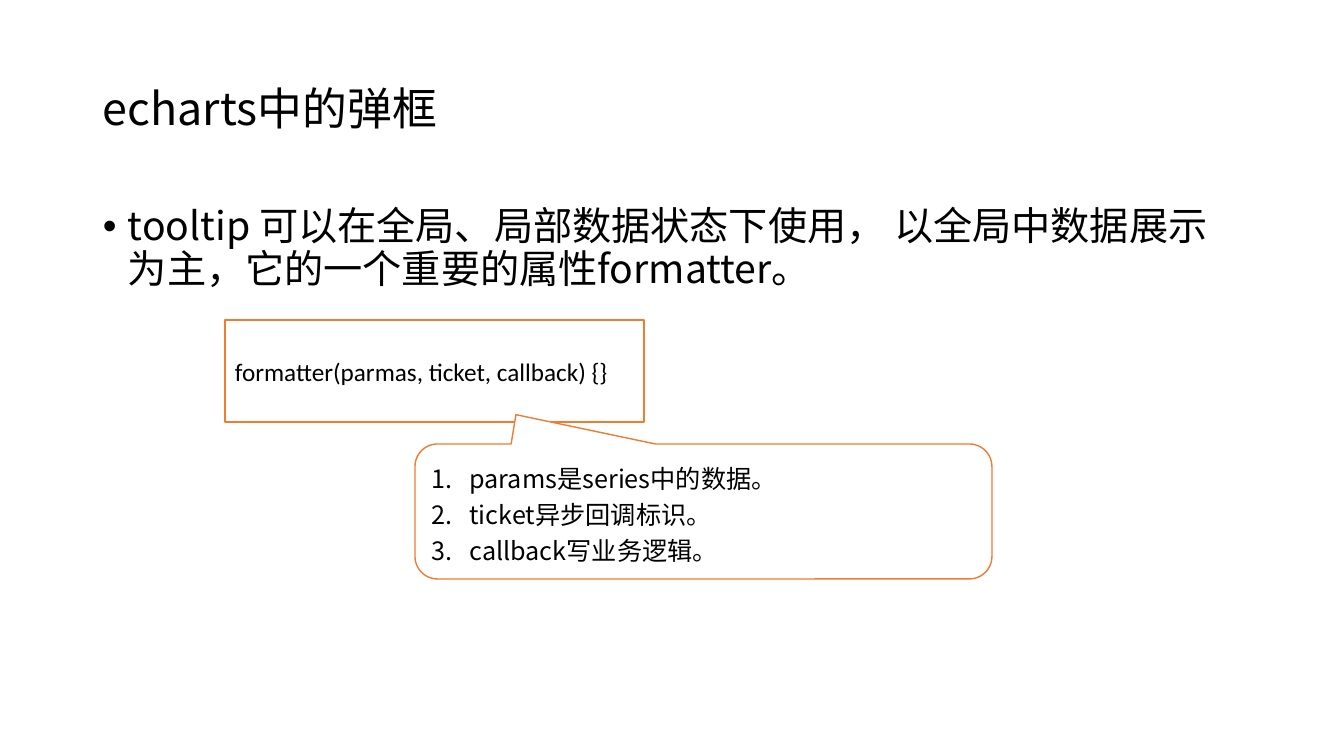
from lxml import etree
from pptx import Presentation, util as u
from pptx.dml.color import RGBColor
from pptx.enum import shapes, text
from pptx.oxml.ns import qn

PX = 914400 / 100.8
HEX = {"ink": "000000", "paper": "FFFFFF", "edge": "ED7D31"}
CJK, LATIN = "Noto Sans CJK SC", "Calibri"


def px(n):
    return u.Emu(round(n * PX))


def color(name):
    return RGBColor.from_string(HEX[name])


def add_run(para, words, size, face):
    run = para.add_run()
    run.text = words
    run.font.size = u.Pt(size)
    run.font.name = face
    run.font.color.rgb = color("ink")
    east = etree.SubElement(run.font._element, qn("a:ea"))
    east.set("typeface", face)


def add_mark(para, indent, tag, **attrs):
    """Hang a bullet or number in front of the paragraph."""
    props = para._p.get_or_add_pPr()
    props.set("marL", str(px(indent)))
    props.set("indent", str(-px(indent)))
    font = etree.SubElement(props, qn("a:buFont"))
    font.set("typeface", "Arial" if tag == "a:buChar" else "+mj-lt")
    mark = etree.SubElement(props, qn(tag))
    for key, value in attrs.items():
        mark.set(key, value)


def add_text(slide, box, anchor):
    frame = slide.shapes.add_textbox(*map(px, box)).text_frame
    frame.word_wrap = True
    frame.vertical_anchor = anchor
    return frame


def add_panel(slide, kind, box):
    """Outlined white shape with left-aligned text, centred in height."""
    panel = slide.shapes.add_shape(kind, *map(px, box))
    panel.shadow.inherit = False
    panel.fill.solid()
    panel.fill.fore_color.rgb = color("paper")
    panel.line.color.rgb = color("edge")
    panel.line.width = u.Pt(1)
    panel.text_frame.word_wrap = True
    panel.text_frame.vertical_anchor = text.MSO_ANCHOR.MIDDLE
    return panel


def title(slide, box):
    para = add_text(slide, box, text.MSO_ANCHOR.MIDDLE).paragraphs[0]
    para.line_spacing = 0.8
    add_run(para, "echarts中的弹框", 32, CJK)


def body(slide, box):
    para = add_text(slide, box, text.MSO_ANCHOR.TOP).paragraphs[0]
    para.line_spacing = 0.9
    para.space_before = u.Pt(10)
    add_mark(para, 25, "a:buChar", char="•")
    add_run(para, "tooltip 可以在全局、局部数据状态下使用， "
            "以全局中数据展示为主，它的一个重要的属性formatter。", 28, CJK)


def code(slide, box):
    panel = add_panel(slide, shapes.MSO_SHAPE.RECTANGLE, box)
    para = panel.text_frame.paragraphs[0]
    para.alignment = text.PP_ALIGN.LEFT
    add_run(para, "formatter(parmas, ticket, callback) {}", 18, LATIN)


def callout(slide, box):
    panel = add_panel(slide, shapes.MSO_SHAPE.ROUNDED_RECTANGULAR_CALLOUT, box)
    for i, value in enumerate((-0.325, -0.717, 0.167)):
        panel.adjustments[i] = value
    frame = panel.text_frame
    notes = ("params是series中的数据。", "ticket异步回调标识。", "callback写业务逻辑。")
    for i, note in enumerate(notes):
        para = frame.add_paragraph() if i else frame.paragraphs[0]
        para.alignment = text.PP_ALIGN.LEFT
        para.line_spacing = 1.2
        add_mark(para, 38, "a:buAutoNum", type="arabicPeriod")
        add_run(para, note, 18, CJK)


deck = Presentation()
deck.slide_width, deck.slide_height = px(1344), px(756)
page = deck.slides.add_slide(deck.slide_layouts[6])

# Heading and main point
title(page, (93, 40, 1159, 146))
body(page, (93, 202, 1159, 480))

# Signature and its explanation
code(page, (225, 320, 419, 102))
callout(page, (415, 444, 577, 135))

deck.save("out.pptx")
